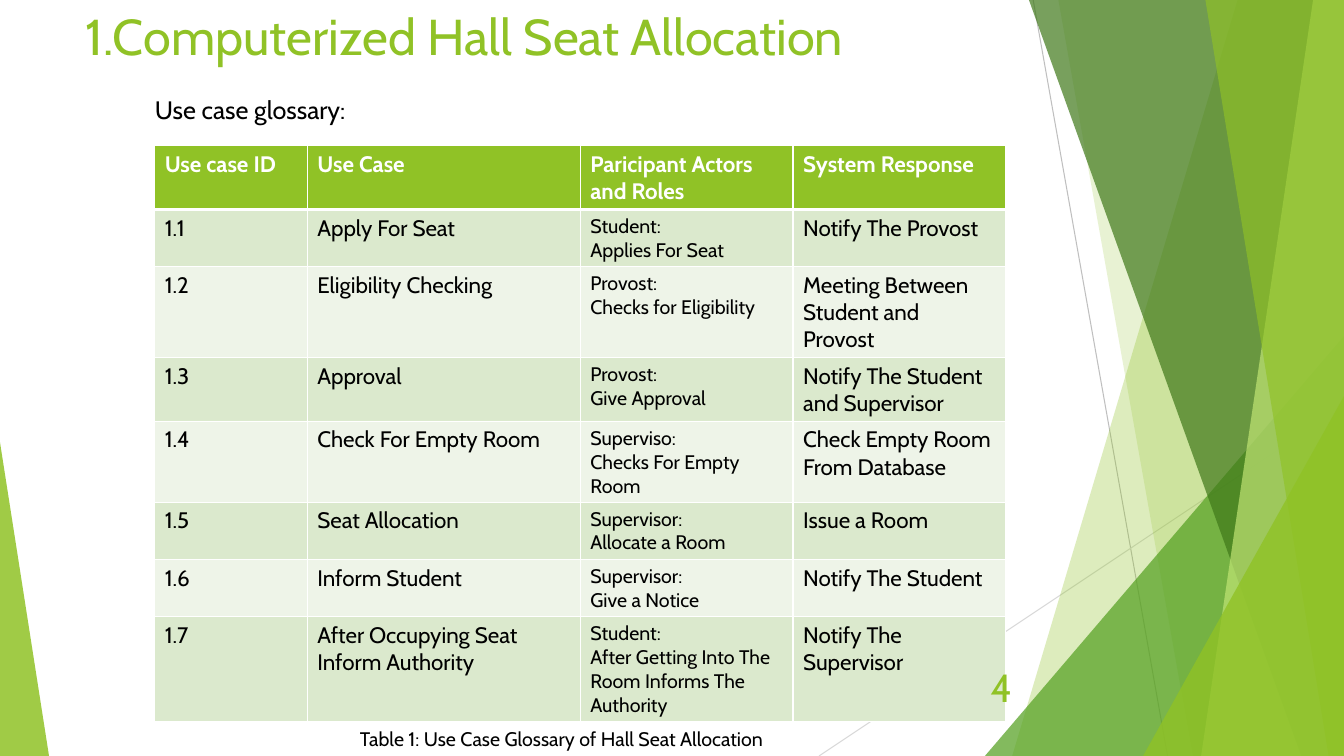
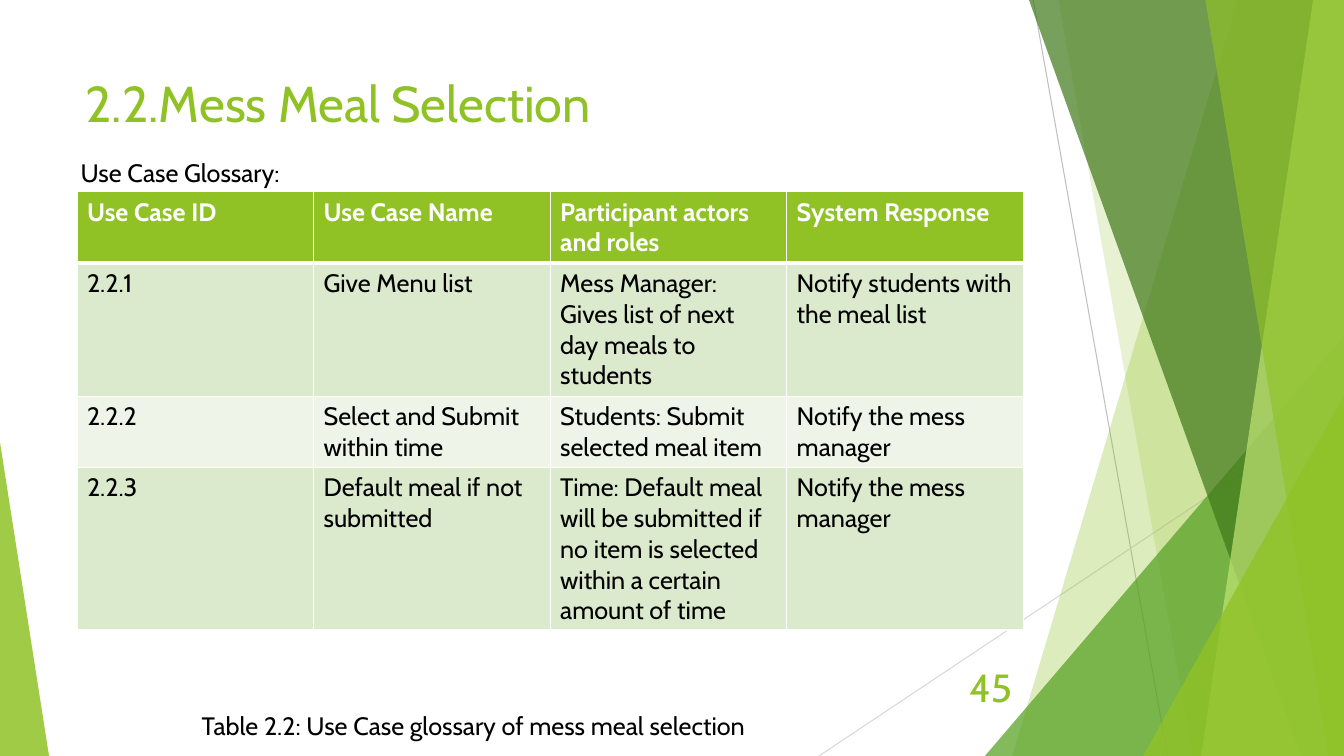
from pptx import Presentation
from pptx.dml.color import RGBColor
from pptx.enum.shapes import MSO_CONNECTOR, MSO_SHAPE
from pptx.enum.text import MSO_ANCHOR, PP_ALIGN
from pptx.oxml import parse_xml
from pptx.oxml.ns import nsdecls, qn
from pptx.util import Pt
from lxml.etree import SubElement

WIDTH, HEIGHT = 960, 540
FONT = "Cabin"

GREEN = RGBColor(0x90, 0xC2, 0x26)
LEAF_GREEN = RGBColor(0x54, 0xA0, 0x21)
DARK_GREEN = RGBColor(0x3F, 0x78, 0x19)
PALE_GREEN = RGBColor(0xC0, 0xE4, 0x74)
BAND_DARK = RGBColor(0xDB, 0xE9, 0xCD)
BAND_LIGHT = RGBColor(0xEE, 0xF4, 0xE8)
GREY = RGBColor(0xBF, 0xBF, 0xBF)
LIGHT_GREY = RGBColor(0xD9, 0xD9, 0xD9)
BLACK = RGBColor(0, 0, 0)
WHITE = RGBColor(0xFF, 0xFF, 0xFF)

HALL_ROWS = [
    ("Use case ID", "Use Case", "Paricipant Actors and Roles", "System Response"),
    ("1.1", "Apply For Seat", "Student:\nApplies For Seat", "Notify The Provost"),
    ("1.2", "Eligibility Checking", "Provost:\nChecks for Eligibility",
     "Meeting Between Student and Provost"),
    ("1.3", "Approval", "Provost:\nGive Approval", "Notify The Student and Supervisor"),
    ("1.4", "Check For Empty Room", "Superviso:\nChecks For Empty Room",
     "Check Empty Room From Database"),
    ("1.5", "Seat Allocation", "Supervisor:\nAllocate a Room", "Issue a Room"),
    ("1.6", "Inform Student", "Supervisor:\nGive a Notice", "Notify The Student"),
    ("1.7", "After Occupying Seat Inform Authority",
     "Student:\nAfter Getting Into The Room Informs The Authority",
     "Notify The Supervisor"),
]

MEAL_ROWS = [
    ("Use Case ID", "Use Case Name", "Participant actors and roles", "System Response"),
    ("2.2.1", "Give Menu list", "Mess Manager: Gives list of next day meals to students",
     "Notify students with the meal list"),
    ("2.2.2", "Select and Submit within time", "Students: Submit selected meal item",
     "Notify the mess manager"),
    ("2.2.3", "Default meal if not submitted",
     "Time: Default meal will be submitted if no item is selected "
     "within a certain amount of time", "Notify the mess manager"),
]


# Backdrop of lines and translucent facets
def add_line(page, start, end, color):
    line = page.shapes.add_connector(MSO_CONNECTOR.STRAIGHT, *map(Pt, start + end))
    line.line.color.rgb = color
    line.line.width = Pt(0.75)
    SubElement(line._element.spPr, qn("a:effectLst"))


def paint(shape, color, opacity):
    shape.shadow.inherit = False
    shape.line.fill.background()
    shape.fill.solid()
    shape.fill.fore_color.rgb = color
    color_node = shape._element.spPr.find(qn("a:solidFill"))[0]
    SubElement(color_node, qn("a:alpha"), val=str(opacity * 1000))


def add_facet(page, top_x, bottom_x, color, opacity):
    """Fill from a slanted left edge to the right side of the slide."""
    outline = page.shapes.build_freeform(Pt(top_x), 0)
    outline.add_line_segments(
        [(Pt(WIDTH), 0), (Pt(WIDTH), Pt(HEIGHT)), (Pt(bottom_x), Pt(HEIGHT))])
    paint(outline.convert_to_shape(), color, opacity)


def add_corner(page, left, top, right, apex, color, opacity):
    """Triangle standing on the bottom edge; apex 0 is left, 1 is right."""
    corner = page.shapes.add_shape(MSO_SHAPE.ISOSCELES_TRIANGLE, Pt(left), Pt(top),
                                   Pt(right - left), Pt(HEIGHT - top))
    corner.adjustments[0] = apex
    paint(corner, color, opacity)


def add_backdrop(page):
    add_line(page, (738, 0), (834, HEIGHT), GREY)
    add_line(page, (WIDTH, 290), (585, HEIGHT), LIGHT_GREY)
    add_facet(page, 884, 723, GREEN, 30)
    add_facet(page, 756, 852, GREEN, 20)
    add_corner(page, 703.5, 240, WIDTH, 1, LEAF_GREEN, 72)
    add_facet(page, 735, 929.5, DARK_GREEN, 70)
    add_facet(page, 938, 858, PALE_GREEN, 70)
    add_facet(page, 861, 949, GREEN, 65)
    add_corner(page, 816.5, 283, WIDTH, 1, GREEN, 80)
    add_corner(page, 0, 316, 35, 0, GREEN, 85)


# Text
def style(para, text, size, color, bold=False):
    para.text = text
    para.font.name = FONT
    para.font.size = Pt(size)
    para.font.color.rgb = color
    para.font.bold = bold


def add_text(page, text, left, top, width, height, size, color=BLACK):
    box = page.shapes.add_textbox(Pt(left), Pt(top), Pt(width), Pt(height))
    box.text_frame.word_wrap = True
    style(box.text_frame.paragraphs[0], text, size, color)
    return box.text_frame


def add_title(page, text, top):
    add_text(page, text, 54, top, 677, 51, 36, GREEN)


def add_page_number(page, number):
    frame = add_text(page, str(number), 676, 476, 54, 29, 28, GREEN)
    frame.vertical_anchor = MSO_ANCHOR.MIDDLE
    frame.paragraphs[0].alignment = PP_ALIGN.RIGHT


# Table
def set_borders(cell, top, bottom):
    properties = cell._tc.get_or_add_tcPr()
    for side, width in (("L", 1), ("R", 1), ("T", top), ("B", bottom)):
        properties.append(parse_xml(
            f'<a:ln{side} {nsdecls("a")} w="{Pt(width)}"><a:solidFill>'
            f'<a:srgbClr val="{WHITE}"/></a:solidFill></a:ln{side}>'))


def add_glossary(page, rows, left, top, widths, heights, size, roles_size):
    table = page.shapes.add_table(len(rows), len(widths), Pt(left), Pt(top),
                                  Pt(sum(widths)), Pt(sum(heights))).table
    for column, width in zip(table.columns, widths):
        column.width = Pt(width)
    for r, (texts, height) in enumerate(zip(rows, heights)):
        table.rows[r].height = Pt(height)
        header = r == 0
        fill = GREEN if header else BAND_DARK if r % 2 else BAND_LIGHT
        for c, text in enumerate(texts):
            cell = table.cell(r, c)
            set_borders(cell, 3 if r == 1 else 1, 3 if header else 1)
            cell.fill.solid()
            cell.fill.fore_color.rgb = fill
            style(cell.text_frame.paragraphs[0], text,
                  roles_size if c == 2 and not header else size,
                  WHITE if header else BLACK, header)


def add_page(deck):
    page = deck.slides.add_slide(deck.slide_layouts[6])
    add_backdrop(page)
    return page


def main():
    deck = Presentation()
    deck.slide_width, deck.slide_height = Pt(WIDTH), Pt(HEIGHT)

    # Hall seat allocation
    page = add_page(deck)
    add_title(page, "1.Computerized Hall Seat Allocation", 0)
    add_text(page, "Use case glossary:", 103.5, 63.5, 161, 29, 18)
    add_glossary(page, HALL_ROWS, 110.5, 104, (109, 195, 152, 152),
                 (45, 41, 57, 45.5, 57, 41, 41, 74), 16, 14)
    add_text(page, "Table 1: Use Case Glossary of Hall Seat Allocation",
             250, 515.5, 334, 24, 14)
    add_page_number(page, 4)

    # Mess meal selection
    page = add_page(deck)
    add_title(page, "2.2.Mess Meal Selection", 48)
    add_glossary(page, MEAL_ROWS, 55, 137, (169,) * 4, (51, 95, 51, 116), 18, 18)
    add_page_number(page, 45)
    add_text(page, "Use Case Glossary:", 50.5, 109, 166, 29, 18)
    add_text(page, "Table 2.2: Use Case glossary of mess meal selection",
             137, 504, 433, 29, 18)

    deck.save("out.pptx")


if __name__ == "__main__":
    main()
